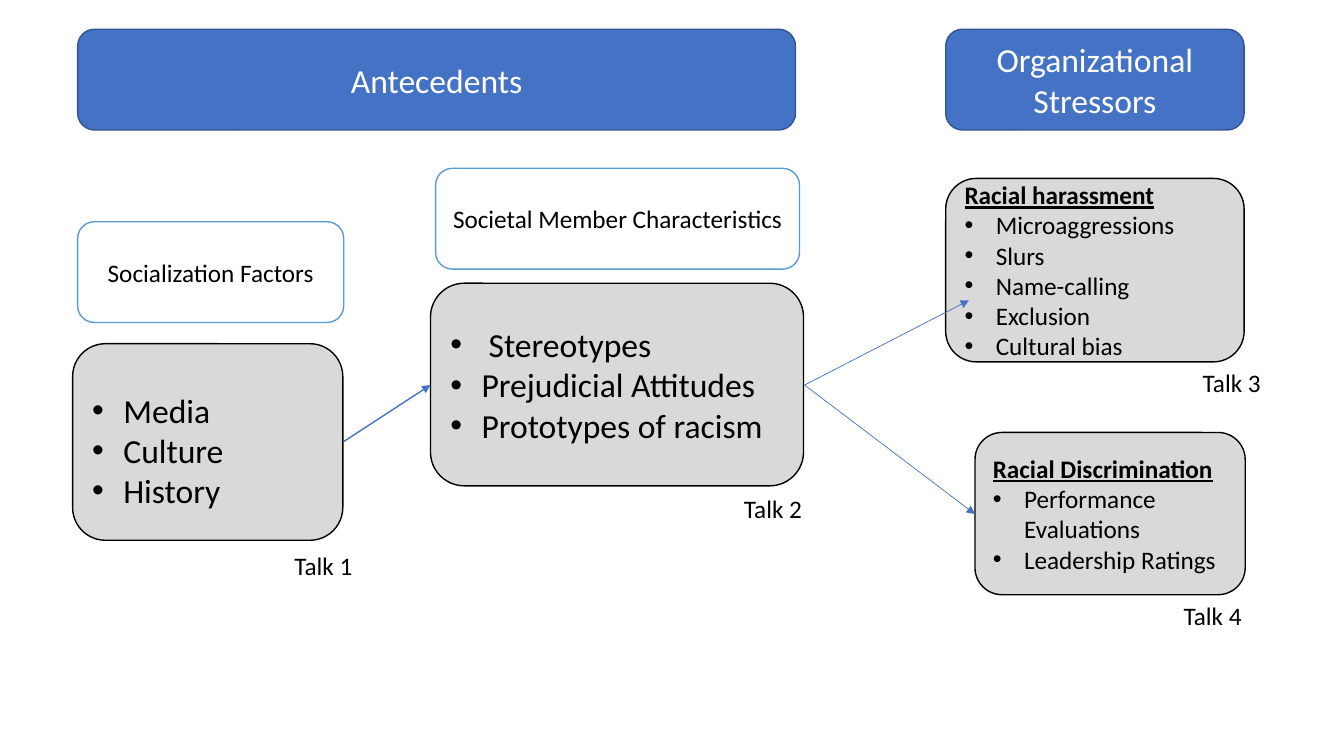
from dataclasses import dataclass

from lxml.etree import SubElement
from pptx import Presentation
from pptx.dml.color import RGBColor
from pptx.enum.shapes import MSO_CONNECTOR as Connector, MSO_SHAPE as Preset
from pptx.enum.text import MSO_ANCHOR as Anchor, MSO_AUTO_SIZE as AutoSize, PP_ALIGN as Align
from pptx.oxml.ns import qn
from pptx.slide import Slide
from pptx.util import Inches, Pt


@dataclass(frozen=True)
class Theme:
    font: str = "Calibri"
    large: int = 24
    small: int = 18
    outline: float = 1
    white: str = "FFFFFF"
    black: str = "000000"
    blue: str = "4472C4"
    dark_blue: str = "325491"
    light_blue: str = "5B9BD5"
    gray: str = "D9D9D9"


THEME = Theme()


@dataclass(frozen=True)
class Style:
    fill: str
    line: str
    text: str
    size: int


HEADER = Style(THEME.blue, THEME.dark_blue, THEME.white, THEME.large)
CATEGORY = Style(THEME.white, THEME.light_blue, THEME.black, THEME.small)
FACTOR = Style(THEME.gray, THEME.black, THEME.black, THEME.large)
STRESSOR = Style(THEME.gray, THEME.black, THEME.black, THEME.small)


@dataclass(frozen=True)
class Line:
    text: str
    indent: float = 0
    heading: bool = False


@dataclass(frozen=True)
class Box:
    left: float
    top: float
    width: float
    height: float
    style: Style
    lines: tuple[Line, ...]
    top_inset: float = 0.05


@dataclass(frozen=True)
class Arrow:
    start: tuple[float, float]
    end: tuple[float, float]
    weight: float


@dataclass(frozen=True)
class Label:
    left: float
    top: float
    text: str


def plain(*texts: str) -> tuple[Line, ...]:
    return tuple(Line(text) for text in texts)


def bullets(*texts: str) -> tuple[Line, ...]:
    return tuple(Line(text, 0.31) for text in texts)


def heading(text: str) -> tuple[Line, ...]:
    return (Line(text, heading=True),)


BOXES = (
    Box(0.77, 0.29, 7.12, 1, HEADER, plain("Antecedents")),
    Box(9.38, 0.29, 2.96, 1, HEADER, plain("Organizational", "Stressors")),
    Box(0.77, 2.2, 2.64, 1, CATEGORY, plain("Socialization Factors")),
    Box(4.32, 1.67, 3.61, 1, CATEGORY, plain("Societal Member Characteristics")),
    Box(0.72, 3.41, 2.68, 1.95, FACTOR, bullets("Media", "Culture", "History"), 0.21),
    Box(4.27, 2.81, 3.7, 2.01, FACTOR,
        (Line("Stereotypes", 0.38),) + bullets("Prejudicial Attitudes", "Prototypes of racism")),
    Box(9.38, 1.77, 2.96, 1.82, STRESSOR,
        heading("Racial harassment")
        + bullets("Microaggressions", "Slurs", "Name-calling", "Exclusion", "Cultural bias")),
    Box(9.67, 4.29, 2.68, 1.61, STRESSOR,
        heading("Racial Discrimination") + bullets("Performance Evaluations", "Leadership Ratings")),
)

ARROWS = (
    Arrow((3.41, 4.38), (4.27, 3.82), 1),
    Arrow((7.98, 3.82), (9.61, 2.98), 0.5),
    Arrow((7.98, 3.82), (9.67, 5.1), 0.5),
)

TALKS = (
    Label(2.82, 5.41, "Talk 1"),
    Label(7.28, 4.84, "Talk 2"),
    Label(11.83, 3.59, "Talk 3"),
    Label(11.64, 5.91, "Talk 4"),
)


def add_text(paragraph, line: Line, color: str, size: int) -> None:
    if line.indent:
        properties = paragraph._p.get_or_add_pPr()
        properties.set("marL", str(Inches(line.indent)))
        properties.set("indent", str(-Inches(line.indent)))
        SubElement(properties, qn("a:buFont")).set("typeface", "Arial")
        SubElement(properties, qn("a:buChar")).set("char", "•")
    run = paragraph.add_run()
    run.text = line.text
    run.font.name = THEME.font
    run.font.size = Pt(size)
    run.font.color.rgb = RGBColor.from_string(color)
    run.font.bold = line.heading
    run.font.underline = line.heading


def draw_box(slide: Slide, box: Box) -> None:
    panel = slide.shapes.add_shape(
        Preset.ROUNDED_RECTANGLE,
        Inches(box.left), Inches(box.top), Inches(box.width), Inches(box.height))
    panel.shadow.inherit = False
    panel.fill.solid()
    panel.fill.fore_color.rgb = RGBColor.from_string(box.style.fill)
    panel.line.color.rgb = RGBColor.from_string(box.style.line)
    panel.line.width = Pt(THEME.outline)
    frame = panel.text_frame
    frame.word_wrap = True
    frame.vertical_anchor = Anchor.MIDDLE
    frame.margin_top = Inches(box.top_inset)
    centered = box.style in (HEADER, CATEGORY)
    for index, line in enumerate(box.lines):
        paragraph = frame.add_paragraph() if index else frame.paragraphs[0]
        paragraph.alignment = Align.CENTER if centered else Align.LEFT
        add_text(paragraph, line, box.style.text, box.style.size)


def draw_arrow(slide: Slide, arrow: Arrow) -> None:
    link = slide.shapes.add_connector(
        Connector.STRAIGHT, *(Inches(value) for value in arrow.start + arrow.end))
    link.line.color.rgb = RGBColor.from_string(THEME.blue)
    link.line.width = Pt(arrow.weight)
    SubElement(link.line._get_or_add_ln(), qn("a:tailEnd")).set("type", "triangle")
    SubElement(link._element.spPr, qn("a:effectLst"))


def draw_label(slide: Slide, label: Label) -> None:
    caption = slide.shapes.add_textbox(
        Inches(label.left), Inches(label.top), Inches(0.78), Inches(0.4))
    frame = caption.text_frame
    frame.word_wrap = False
    frame.auto_size = AutoSize.SHAPE_TO_FIT_TEXT
    add_text(frame.paragraphs[0], Line(label.text), THEME.black, THEME.small)


def main() -> None:
    deck = Presentation()
    deck.slide_width = Inches(13.33)
    deck.slide_height = Inches(7.5)
    slide = deck.slides.add_slide(deck.slide_layouts[6])
    for box in BOXES:
        draw_box(slide, box)
    for arrow in ARROWS:
        draw_arrow(slide, arrow)
    for talk in TALKS:
        draw_label(slide, talk)
    deck.save("out.pptx")


if __name__ == "__main__":
    main()
